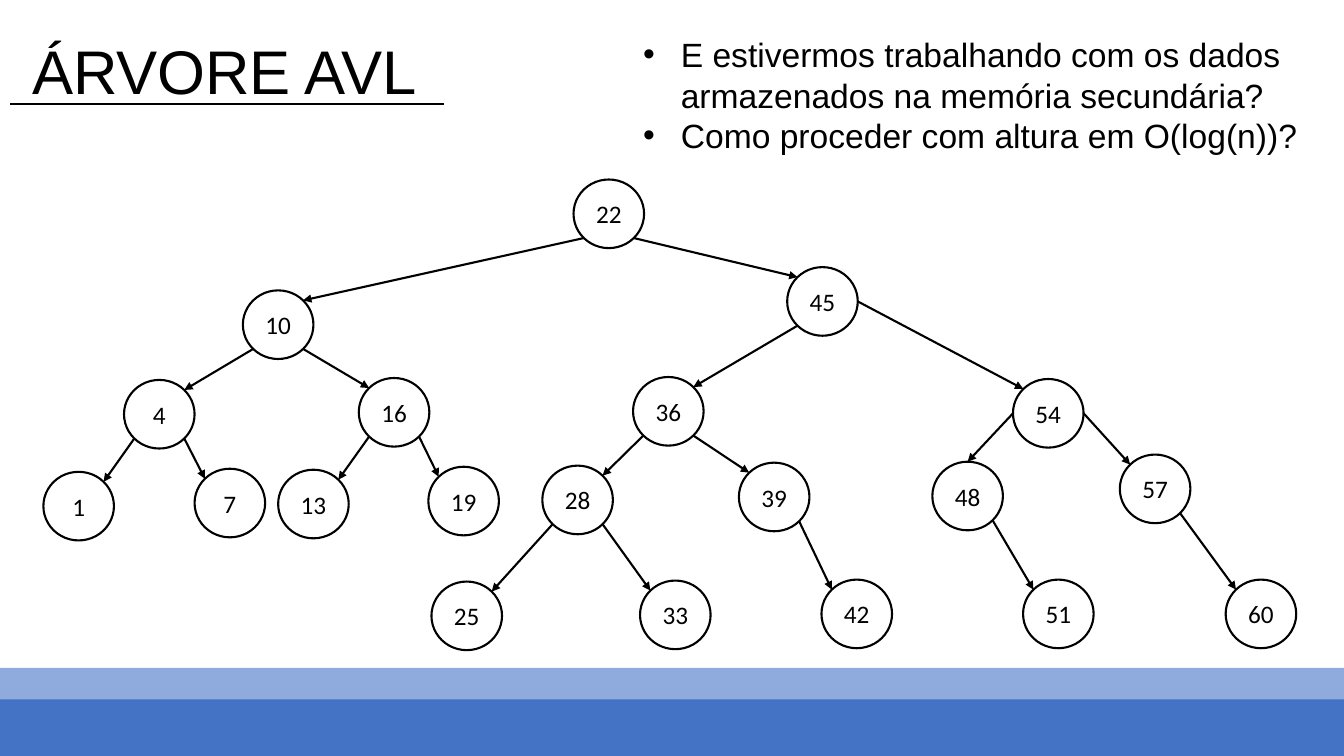
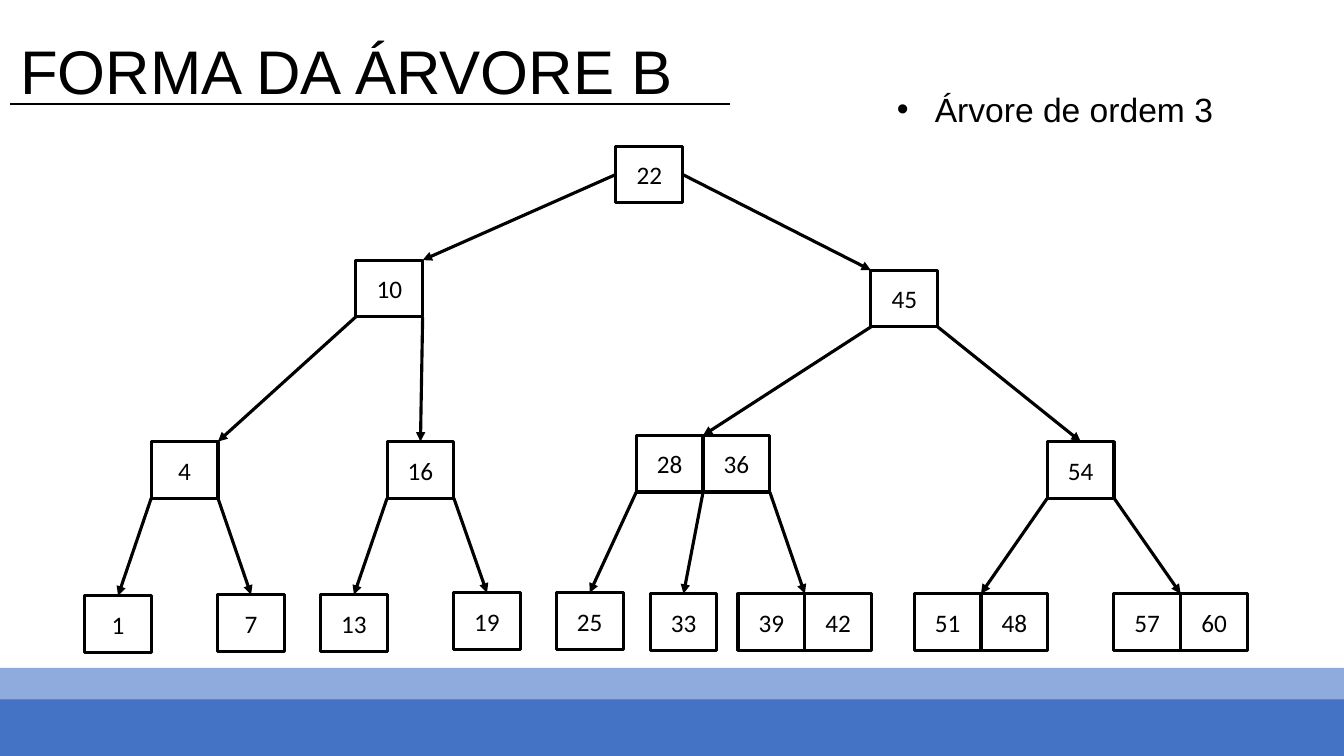
"""Build two slides that compare an AVL tree with a B-tree holding the same keys."""
from lxml import etree
from pptx import Presentation
from pptx import util as u
from pptx.dml.color import RGBColor
from pptx.enum import shapes, text
from pptx.oxml.ns import qn

Pt = u.Pt
BLACK = RGBColor(0x00, 0x00, 0x00)
WHITE = RGBColor(0xFF, 0xFF, 0xFF)
LIGHT_BLUE = RGBColor(0x8F, 0xAA, 0xDC)
BLUE = RGBColor(0x44, 0x72, 0xC4)

SLIDE_WIDTH, SLIDE_HEIGHT = 960, 540
TITLE_ONLY = 5
COMPASS = {
    "n": (0, -1), "ne": (1, -1), "e": (1, 0), "se": (1, 1),
    "s": (0, 1), "sw": (-1, 1), "w": (-1, 0), "nw": (-1, -1),
}

AVL_NODES = {
    22: (409.7, 128.2),
    10: (173.5, 207.4), 45: (562.3, 190.8),
    4: (88.6, 271.4), 16: (256.3, 270), 36: (452.2, 269.3), 54: (723.6, 270.7),
    1: (31, 337), 7: (139, 334.8), 13: (198.7, 335.5), 19: (306, 333.4),
    28: (387.4, 332.6), 39: (527.8, 330.5), 48: (666, 329.8), 57: (799.9, 324.7),
    25: (308.2, 415.4), 33: (457.2, 414.7), 42: (586.8, 414),
    51: (730.8, 414), 60: (875.5, 414),
}
AVL_ARROWS = [
    (22, "sw", 10, "ne"), (22, "se", 45, "nw"),
    (10, "sw", 4, "ne"), (10, "se", 16, "nw"),
    (45, "sw", 36, "ne"), (45, "e", 54, "nw"),
    (4, "sw", 1, "ne"), (4, "se", 7, "nw"),
    (16, "sw", 13, "ne"), (16, "se", 19, "nw"),
    (36, "sw", 28, "ne"), (36, "se", 39, "nw"),
    (54, "w", 48, "n"), (54, "e", 57, "nw"),
    (28, "sw", 25, "ne"), (28, "se", 33, "nw"),
    (39, "se", 42, "nw"), (48, "se", 51, "nw"), (57, "se", 60, "nw"),
]

B_PAGES = {
    (22,): (439.9, 104.4),
    (10,): (254.2, 185.8), (45,): (622.1, 193),
    (4,): (108, 315.4), (16,): (276.5, 315.4),
    (28, 36): (454.5, 311), (54,): (748.1, 315.4),
    (1,): (60.5, 425.5), (7,): (155.5, 424.8),
    (13,): (229, 424.8), (19,): (324, 423.4),
    (25,): (397.4, 423.4), (33,): (464.4, 424.1),
    (39, 42): (527.2, 424.1), (51, 48): (653, 424.1), (57, 60): (795.6, 424.1),
}
B_ARROWS = [
    (22, "w", 10, "ne"), (22, "e", 45, "nw"),
    (10, "sw", 4, "ne"), (10, "se", 16, "n"),
    (45, "sw", 28, "ne"), (45, "se", 54, "n"),
    (4, "sw", 1, "n"), (4, "se", 7, "n"),
    (16, "sw", 13, "n"), (16, "se", 19, "n"),
    (28, "sw", 25, "n"), (28, "se", 33, "n"), (36, "se", 39, "ne"),
    (54, "sw", 51, "ne"), (54, "se", 57, "ne"),
]


def write_text(frame, lines, *, font="Arial", size=24, align=text.PP_ALIGN.LEFT,
               anchor=text.MSO_ANCHOR.TOP, spacing=None, bullet=None):
    """Fill a text frame with one formatted paragraph per line."""
    frame.word_wrap = True
    frame.vertical_anchor = anchor
    for index, line in enumerate(lines):
        paragraph = frame.add_paragraph() if index else frame.paragraphs[0]
        paragraph.alignment = align
        if spacing:
            paragraph.line_spacing = spacing
        if bullet:
            properties = paragraph._p.get_or_add_pPr()
            properties.set("marL", str(Pt(27)))
            properties.set("indent", str(-Pt(27)))
            etree.SubElement(properties, qn("a:buFont")).set("typeface", "Arial")
            etree.SubElement(properties, qn("a:buChar")).set("char", bullet)
        run = paragraph.add_run()
        run.text = line
        run.font.name = font
        run.font.size = Pt(size)
        run.font.color.rgb = BLACK


class TreeDeck:
    """Hold the presentation, the current slide and the style of its tree."""

    def __init__(self):
        """Start an empty widescreen presentation."""
        self.presentation = Presentation()
        self.presentation.slide_width = Pt(SLIDE_WIDTH)
        self.presentation.slide_height = Pt(SLIDE_HEIGHT)

    def start_slide(self, title, *, title_left, rule_end):
        """Add a slide with its bands, title and title rule."""
        layout = self.presentation.slide_layouts[TITLE_ONLY]
        self.slide = self.presentation.slides.add_slide(layout)
        self.centers = {}
        self.band(477, LIGHT_BLUE)
        self.band(499.5, BLUE)
        placeholder = self.slide.shapes.title
        placeholder.left, placeholder.top = Pt(title_left), Pt(0.7)
        placeholder.width, placeholder.height = Pt(828), Pt(104.4)
        placeholder.text_frame.auto_size = text.MSO_AUTO_SIZE.NONE
        write_text(placeholder.text_frame, [title], size=44, spacing=0.9,
                   anchor=text.MSO_ANCHOR.MIDDLE)
        self.line((7.2, 74.2), (rule_end, 74.2), 1.5)

    def band(self, top, color):
        """Draw a full-width band at the foot of the slide."""
        shape = self.slide.shapes.add_shape(
            shapes.MSO_SHAPE.RECTANGLE, 0, Pt(top), Pt(SLIDE_WIDTH), Pt(40.5))
        shape.shadow.inherit = False
        shape.fill.solid()
        shape.fill.fore_color.rgb = color
        shape.line.fill.background()

    def line(self, start, end, weight, *, arrow=False):
        """Draw a straight line between two points."""
        connector = self.slide.shapes.add_connector(
            shapes.MSO_CONNECTOR.STRAIGHT, *map(Pt, start), *map(Pt, end))
        connector.line.color.rgb = BLACK
        connector.line.width = Pt(weight)
        if arrow:
            outline = connector.line._get_or_add_ln()
            etree.SubElement(outline, qn("a:tailEnd")).set("type", "triangle")
        etree.SubElement(connector._element.spPr, qn("a:effectLst"))

    def bullets(self, lines, left, top, width, height):
        """Add a bulleted text box."""
        box = self.slide.shapes.add_textbox(Pt(left), Pt(top), Pt(width), Pt(height))
        box.text_frame.auto_size = text.MSO_AUTO_SIZE.SHAPE_TO_FIT_TEXT
        write_text(box.text_frame, lines, bullet="•")

    def node_style(self, kind, width, height, weight, diagonal):
        """Set how nodes look and how far diagonal anchors reach."""
        self.kind, self.width, self.height = kind, width, height
        self.weight, self.diagonal = weight, diagonal

    def node(self, key, left, top):
        """Draw one key and remember its center."""
        shape = self.slide.shapes.add_shape(
            self.kind, Pt(left), Pt(top), Pt(self.width), Pt(self.height))
        shape.shadow.inherit = False
        shape.fill.solid()
        shape.fill.fore_color.rgb = WHITE
        shape.line.color.rgb = BLACK
        shape.line.width = Pt(self.weight)
        write_text(shape.text_frame, [str(key)], font="Calibri", size=18,
                   align=text.PP_ALIGN.CENTER, anchor=text.MSO_ANCHOR.MIDDLE)
        self.centers[key] = (left + self.width / 2, top + self.height / 2)

    def page(self, keys, left, top):
        """Draw the keys of one B-tree page side by side."""
        for index, key in enumerate(keys):
            self.node(key, left + index * self.width, top)

    def anchor(self, key, direction):
        """Return the point on a node's outline in a compass direction."""
        x, y = self.centers[key]
        across, down = COMPASS[direction]
        reach = self.diagonal if across and down else 1
        return (x + across * reach * self.width / 2,
                y + down * reach * self.height / 2)

    def arrows(self, links):
        """Draw an arrow from each parent to its child."""
        for parent, leave, child, enter in links:
            self.line(self.anchor(parent, leave), self.anchor(child, enter),
                      self.weight, arrow=True)


def main():
    """Build and save both slides."""
    deck = TreeDeck()

    deck.start_slide("ÁRVORE AVL", title_left=15.8, rule_end=317)
    deck.node_style(shapes.MSO_SHAPE.OVAL, 50.4, 49, 1.5, 0.5 ** 0.5)
    for key, (left, top) in AVL_NODES.items():
        deck.node(key, left, top)
    deck.arrows(AVL_ARROWS)
    deck.bullets(
        ["E estivermos trabalhando com os dados armazenados na memória secundária?",
         "Como proceder com altura em O(log(n))?"],
        452.2, 20.9, 526.3, 94.3)

    deck.start_slide("FORMA DA ÁRVORE B", title_left=7.2, rule_end=521.3)
    deck.node_style(shapes.MSO_SHAPE.RECTANGLE, 47.7, 40.5, 2.25, 1)
    for keys, (left, top) in B_PAGES.items():
        deck.page(keys, left, top)
    deck.arrows(B_ARROWS)
    deck.bullets(["Árvore de ordem 3"], 633.6, 59.8, 503.3, 36)

    deck.presentation.save("out.pptx")


if __name__ == "__main__":
    main()
